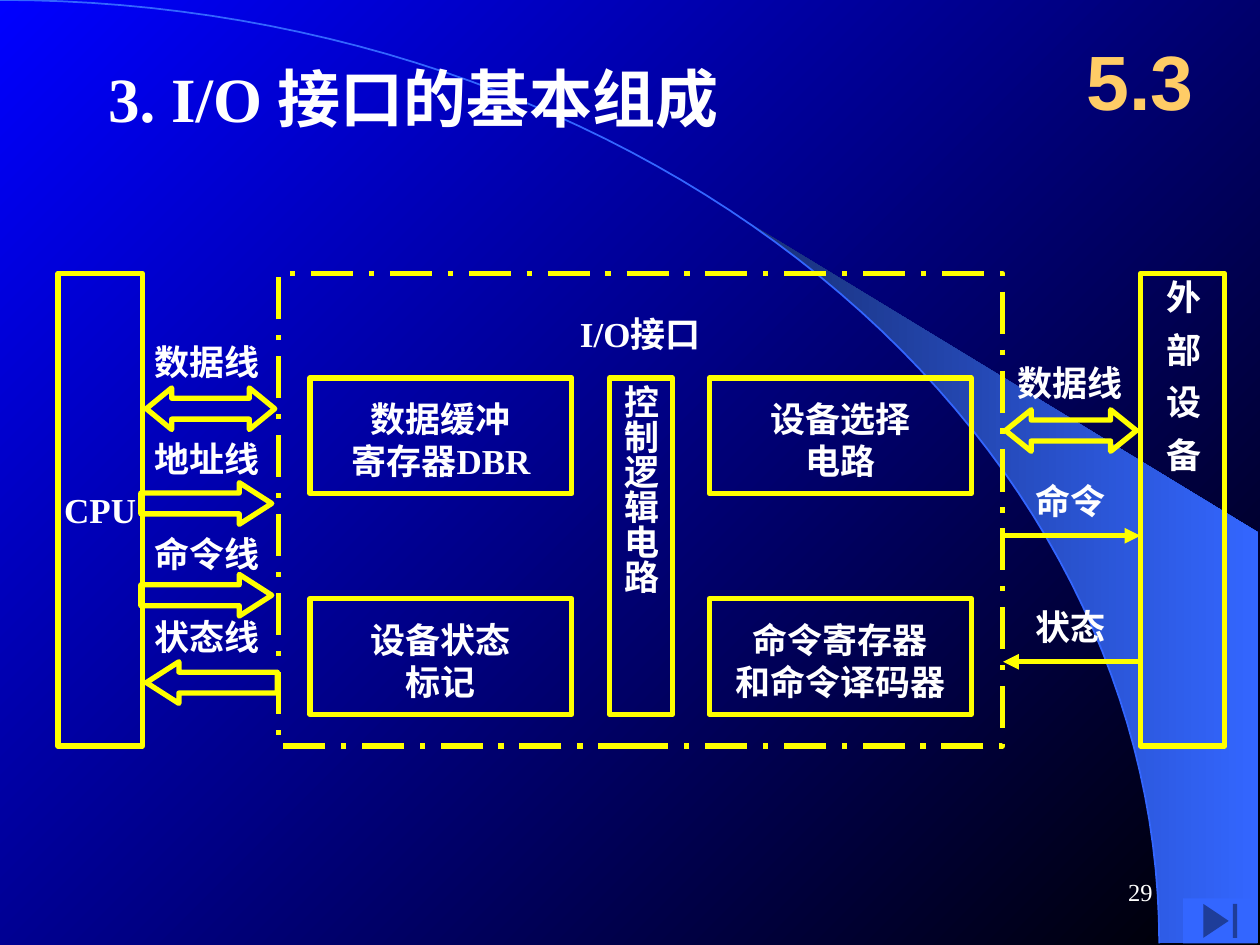
from dataclasses import dataclass
from math import asin, cos, pi, sin

from pptx import Presentation
from pptx.dml.color import RGBColor
from pptx.enum.dml import MSO_LINE
from pptx.enum.shapes import MSO_CONNECTOR, MSO_SHAPE as SHAPE
from pptx.enum.text import MSO_ANCHOR as ANCHOR, PP_ALIGN as ALIGN
from pptx.oxml.ns import qn
from pptx.util import Cm, Pt
from lxml.etree import SubElement


@dataclass(frozen=True)
class Theme:
    white: str = "FFFFFF"
    yellow: str = "FFFF00"
    gold: str = "FFCC66"
    blue: str = "3366FF"
    wing: str = "182F76"
    bg_start: str = "0000FF"
    bg_end: str = "000000"
    serif: str = "Times New Roman"
    sans: str = "Arial"
    title: int = 36
    section: int = 44
    body: int = 20
    number: int = 14
    stroke: int = 3


T = Theme()
RX, RY = 23.37, 19.02  # radii of the background arc, centred on the left edge
RIGHT = 25.37


def rgb(value):
    return RGBColor.from_string(value)


def set_gradient(fill, start, end, angle):
    fill.gradient()
    fill.gradient_angle = angle
    for stop, color in zip(fill.gradient_stops, (start, end)):
        stop.color.rgb = rgb(color)


def write(sp, text, size=T.body, color=T.white, name=T.serif, bold=True,
          align=ALIGN.CENTER, anchor=ANCHOR.MIDDLE, top=0.13):
    """Fill a shape with one paragraph per line of text."""
    tf = sp.text_frame
    frame = {"word_wrap": False, "vertical_anchor": anchor, "margin_left": Cm(0.25),
             "margin_right": Cm(0.25), "margin_top": Cm(top), "margin_bottom": Cm(0.13)}
    for key, value in frame.items():
        setattr(tf, key, value)
    for i, line in enumerate(text.split("\n")):
        p = tf.paragraphs[0] if i == 0 else tf.add_paragraph()
        p.alignment = align
        r = p.add_run()
        r.text = line
        for key, value in {"size": Pt(size), "name": name, "bold": bold}.items():
            setattr(r.font, key, value)
        r.font.color.rgb = rgb(color)


def add_text(s, x, y, w, h, text, **fmt):
    sp = s.shapes.add_textbox(Cm(x), Cm(y), Cm(w), Cm(h))
    write(sp, text, **fmt)


def add_outline(s, kind, x, y, w, h):
    sp = s.shapes.add_shape(kind, Cm(x), Cm(y), Cm(w), Cm(h))
    sp.shadow.inherit = False
    sp.fill.background()
    sp.line.color.rgb = rgb(T.yellow)
    sp.line.width = Pt(T.stroke)
    return sp


def add_box(s, x, y, w, h, text, **fmt):
    sp = add_outline(s, SHAPE.RECTANGLE, x, y, w, h)
    write(sp, text, **fmt)
    return sp


def stack_vertically(sp, spacing=0):
    """Set upright vertical text, with extra space in points between characters."""
    tf = sp.text_frame
    tf.margin_left = tf.margin_right = 0
    tf._txBody.bodyPr.set("vert", "eaVert")
    if spacing:
        tf.paragraphs[0].runs[0].font._element.set("spc", str(spacing * 100))


def add_block_arrow(s, kind, x, y, w, head, rotation=0):
    sp = add_outline(s, kind, x, y, w, 0.84)
    sp.adjustments[0], sp.adjustments[1] = 0.5, head
    sp.rotation = rotation


def add_signal(s, x1, x2, y):
    """Draw a horizontal line with an arrowhead at x2."""
    c = s.shapes.add_connector(MSO_CONNECTOR.STRAIGHT, Cm(x1), Cm(y), Cm(x2), Cm(y))
    c.line.color.rgb = rgb(T.yellow)
    c.line.width = Pt(T.stroke)
    SubElement(c.line._get_or_add_ln(), qn("a:tailEnd"), type="triangle")
    SubElement(c._element.spPr, qn("a:effectLst"))


def arc_points(start, steps=60):
    angles = [start + (pi / 2 - start) * i / steps for i in range(steps + 1)]
    return [(Cm(RX * sin(a)), Cm(RY * (1 - cos(a)))) for a in angles]


def add_outline_path(s, points, close):
    builder = s.shapes.build_freeform(*points[0])
    builder.add_line_segments(points[1:], close=close)
    sp = builder.convert_to_shape()
    sp.shadow.inherit = False
    return sp


def add_backdrop(s):
    set_gradient(s.background.fill, T.bg_start, T.bg_end, 315)
    corners = [(Cm(RIGHT), Cm(RY)), (Cm(RIGHT), Cm(10.74))]
    wing = add_outline_path(s, arc_points(asin(0.64)) + corners, True)
    set_gradient(wing.fill, T.wing, T.blue, 0)
    wing.line.fill.background()
    arc = add_outline_path(s, arc_points(0), False)
    arc.fill.background()
    arc.line.color.rgb = rgb(T.blue)
    arc.line.width = Pt(1)


def add_interface(s):
    blocks = [["数据缓冲\n寄存器DBR", "设备选择\n电路"],
              ["设备状态\n标记", "命令寄存器\n和命令译码器"]]
    for y, row in zip((7.62, 12.07), blocks):
        for x, text in zip((6.25, 14.3), row):
            add_box(s, x, y, 5.28, 2.33, text, top=0.3)
    stack_vertically(add_box(s, 12.29, 7.62, 1.27, 6.78, "控制逻辑电路"))
    frame = add_box(s, 5.61, 5.51, 14.6, 9.53, "I/O接口", anchor=ANCHOR.TOP, top=0.79)
    frame.line.dash_style = MSO_LINE.LONG_DASH_DOT


def add_cpu_side(s):
    add_box(s, 1.17, 5.51, 1.7, 9.53, "CPU")
    for y, text in zip((6.73, 8.69, 10.59, 12.27), ("数据线", "地址线", "命令线", "状态线")):
        add_text(s, 2.87, y, 2.62, 1.12, text)
    add_block_arrow(s, SHAPE.LEFT_RIGHT_ARROW, 2.95, 7.82, 2.59, 0.61)
    for x, y, rotation in ((2.84, 9.73, 0), (2.84, 11.58, 0), (2.95, 13.34, 180)):
        add_block_arrow(s, SHAPE.RIGHT_ARROW, x, y, 2.64, 0.78, rotation)


def add_device_side(s):
    stack_vertically(add_box(s, 22.99, 5.51, 1.7, 9.53, "外部设备"), spacing=10)
    for y, text in zip((7.16, 9.53, 12.07), ("数据线", "命令", "状态")):
        add_text(s, 20.27, y, 2.62, 1.12, text)
    add_block_arrow(s, SHAPE.LEFT_RIGHT_ARROW, 20.27, 8.26, 2.64, 0.62)
    add_signal(s, 20.22, 22.99, 10.8)
    add_signal(s, 22.99, 20.22, 13.34)


def add_end_button(s):
    sp = s.shapes.add_shape(SHAPE.ACTION_BUTTON_END, Cm(23.85), Cm(18.11), Cm(1.5), Cm(0.91))
    sp.shadow.inherit = False
    sp.fill.solid()
    sp.fill.fore_color.rgb = rgb(T.blue)
    sp.line.fill.background()


def main():
    prs = Presentation()
    prs.slide_width, prs.slide_height = Cm(25.4), Cm(19.05)
    s = prs.slides.add_slide(prs.slide_layouts[6])
    add_backdrop(s)
    add_text(s, 1.93, 1.07, 13.1, 1.78, "3. I/O 接口的基本组成", size=T.title, align=ALIGN.LEFT)
    add_interface(s)
    add_cpu_side(s)
    add_device_side(s)
    add_text(s, 21.39, 0.43, 3.18, 2.34, "5.3", size=T.section, color=T.gold, name=T.sans)
    add_end_button(s)
    add_text(s, 18.21, 17.35, 5.28, 1.27, "29", size=T.number, bold=False, align=ALIGN.RIGHT)
    prs.save("out.pptx")


if __name__ == "__main__":
    main()
